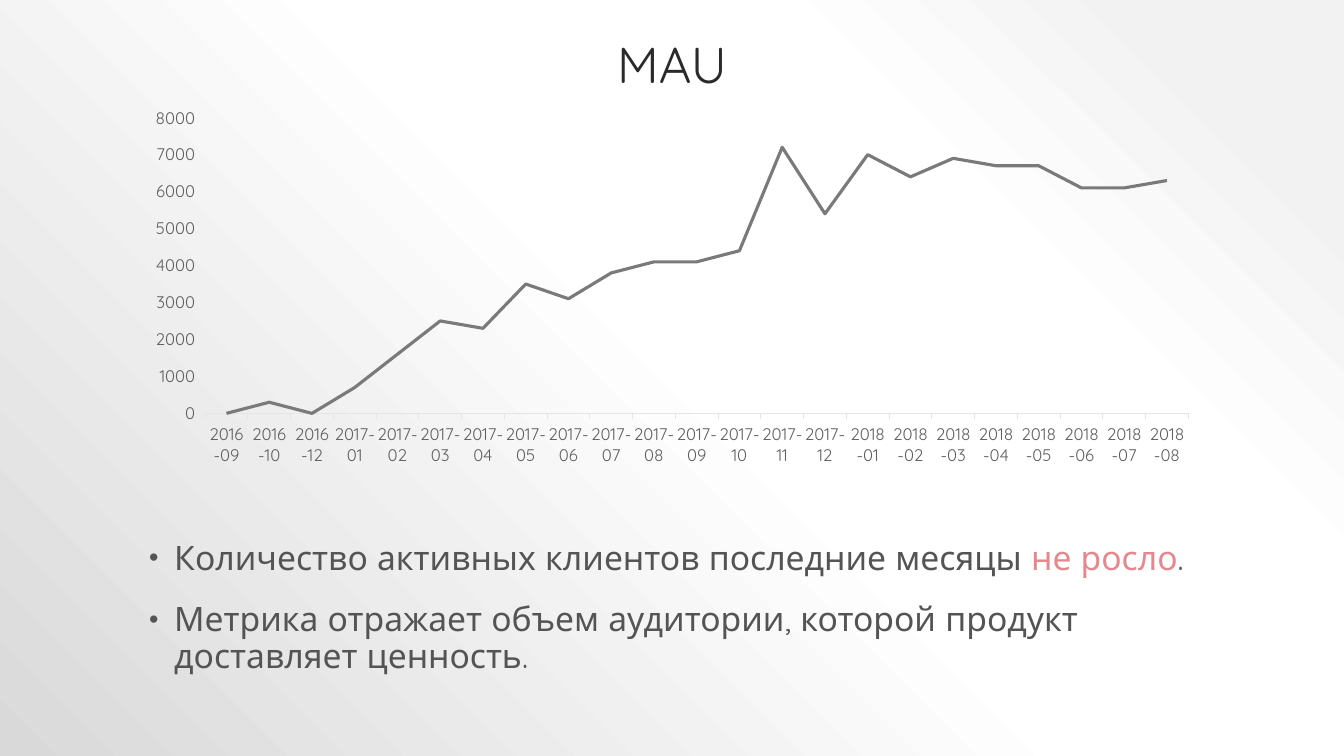
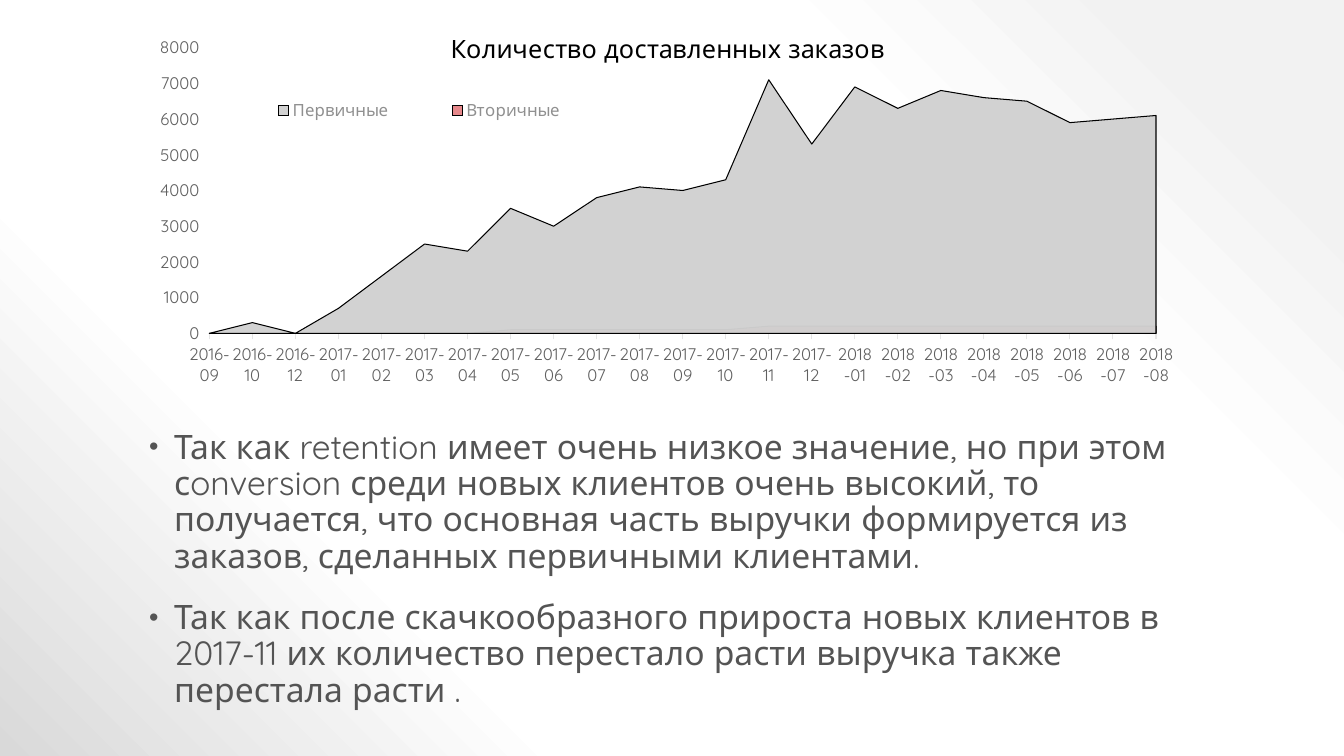
from pptx import Presentation
from pptx.chart.data import CategoryChartData
from pptx.dml.color import RGBColor
from pptx.enum import chart as ch, text
from pptx.oxml import parse_xml
from pptx.oxml.ns import nsdecls, qn
from pptx.util import Inches, Pt

FONT = "Quicksand"
DARK = RGBColor(0x2A, 0x2A, 0x2A)
BODY = RGBColor(0x54, 0x54, 0x54)
AXIS_TEXT = RGBColor(0x60, 0x60, 0x60)
AXIS_LINE = RGBColor(0xE5, 0xE5, 0xE5)
LEGEND = RGBColor(0x90, 0x90, 0x90)
LINE_GREY = RGBColor(0x7A, 0x7A, 0x7A)
AREA_GREY = RGBColor(0xD1, 0xD1, 0xD1)
ACCENT = RGBColor(0xE6, 0x88, 0x8B)
BLACK = RGBColor(0, 0, 0)

LEFT, WIDTH = 1.33, 10.67

MONTHS = (["2016-09", "2016-10", "2016-12"]
          + [f"2017-{m:02}" for m in range(1, 13)]
          + [f"2018-{m:02}" for m in range(1, 9)])
ACTIVE = [0, 300, 0, 700, 1600, 2500, 2300, 3500, 3100, 3800, 4100, 4100,
          4400, 7200, 5400, 7000, 6400, 6900, 6700, 6700, 6100, 6100, 6300]
FIRST_ORDERS = [0, 300, 0, 700, 1600, 2500, 2300, 3500, 3000, 3800, 4100, 4000,
                4300, 7100, 5300, 6900, 6300, 6800, 6600, 6500, 5900, 6000, 6100]
REPEAT_ORDERS = [0] * 7 + [100] * 6 + [200] * 10


def set_font(font, size, color):
    font.name, font.size, font.bold = FONT, Pt(size), False
    font.color.rgb = color


def place(parent, index, x, y, w=None, h=None, inner=False):
    """Give a chart part a manual layout, in fractions of the chart."""
    for old in parent.findall(qn("c:layout")):
        parent.remove(old)
    target = '<c:layoutTarget val="inner"/>' if inner else ""
    modes = '<c:xMode val="edge"/><c:yMode val="edge"/>'
    sizes = "".join(f'<c:{name} val="{value}"/>'
                    for name, value in zip("xywh", (x, y, w, h)) if value is not None)
    parent.insert(index, parse_xml(
        f'<c:layout {nsdecls("c")}><c:manualLayout>{target}{modes}{sizes}'
        '</c:manualLayout></c:layout>'))


def set_crossing(chart, crossing):
    """Set whether the value axis crosses between or at categories."""
    axis = chart._chartSpace.find(".//" + qn("c:valAx"))
    for old in axis.findall(qn("c:crossBetween")):
        axis.remove(old)
    before = axis.find(qn("c:crosses"))
    if before is None:
        before = axis.find(qn("c:crossAx"))
    before.addnext(parse_xml(f'<c:crossBetween {nsdecls("c")} val="{crossing}"/>'))


class Deck:
    def __init__(self):
        self.prs = Presentation()
        self.prs.slide_width, self.prs.slide_height = Inches(13.33), Inches(7.5)
        self.slide = None

    def new_slide(self, white_end):
        """Add a slide whose white glow ends at white_end percent."""
        self.slide = self.prs.slides.add_slide(self.prs.slide_layouts[6])
        stops = [(10, "F2F2F2"), (28, "FFFFFF"), (white_end, "FFFFFF"), (100, "D9D9D9")]
        stop_xml = "".join(f'<a:gs pos="{pos * 1000}"><a:srgbClr val="{color}"/></a:gs>'
                           for pos, color in stops)
        bg = parse_xml(
            f'<p:bg {nsdecls("p", "a")}><p:bgPr><a:gradFill rotWithShape="1">'
            f'<a:gsLst>{stop_xml}</a:gsLst><a:path path="circle">'
            '<a:fillToRect l="100000" b="100000"/></a:path></a:gradFill>'
            '<a:effectLst/></p:bgPr></p:bg>')
        self.slide.element.find(qn("p:cSld")).insert(0, bg)

    def text_box(self, top, height):
        tf = self.slide.shapes.add_textbox(
            Inches(LEFT), Inches(top), Inches(WIDTH), Inches(height)).text_frame
        tf.word_wrap = True
        return tf

    def title(self, words):
        tf = self.text_box(0.3, 0.69)
        tf.vertical_anchor = text.MSO_ANCHOR.BOTTOM
        p = tf.paragraphs[0]
        p.text = words
        p.alignment = text.PP_ALIGN.CENTER
        p.line_spacing = 0.9
        set_font(p.runs[0].font, 36, DARK)

    def bullets(self, top, height, items):
        """Each item is a list of (words, color) runs."""
        tf = self.text_box(top, height)
        for i, item in enumerate(items):
            p = tf.add_paragraph() if i else tf.paragraphs[0]
            p.line_spacing, p.space_before = 0.9, Pt(18)
            for words, color in item:
                r = p.add_run()
                r.text = words
                set_font(r.font, 24, color)
            props = p._p.get_or_add_pPr()
            props.set("marL", str(Inches(0.3)))
            props.set("indent", str(Inches(-0.25)))
            for xml in (f'<a:buClr {nsdecls("a")}><a:srgbClr val="{BODY}"/></a:buClr>',
                        f'<a:buSzPct {nsdecls("a")} val="80000"/>',
                        f'<a:buFont {nsdecls("a")} typeface="Arial"/>',
                        f'<a:buChar {nsdecls("a")} char="•"/>'):
                props.append(parse_xml(xml))

    def chart(self, kind, top, height, series, crossing):
        data = CategoryChartData()
        data.categories = MONTHS
        for name, values in series:
            data.add_series(name, values)
        chart = self.slide.shapes.add_chart(
            kind, Inches(LEFT), Inches(top), Inches(WIDTH), Inches(height), data).chart
        chart.has_title = chart.has_legend = False
        set_font(chart.font, 10, BODY)
        for axis in (chart.category_axis, chart.value_axis):
            axis.has_major_gridlines = False
            axis.major_tick_mark = ch.XL_TICK_MARK.OUTSIDE
            axis.minor_tick_mark = ch.XL_TICK_MARK.NONE
            set_font(axis.tick_labels.font, 12, AXIS_TEXT)
        line = chart.category_axis.format.line
        line.color.rgb, line.width = AXIS_LINE, Pt(0.75)
        chart.value_axis.format.line.fill.background()
        chart.value_axis.maximum_scale, chart.value_axis.major_unit = 8000, 1000
        set_crossing(chart, crossing)
        return chart

    def line_chart(self, top, height, series):
        chart = self.chart(ch.XL_CHART_TYPE.LINE, top, height, series, "between")
        for s in chart.plots[0].series:
            s.smooth = False
            s.marker.style = ch.XL_MARKER_STYLE.NONE
            s.format.line.color.rgb, s.format.line.width = LINE_GREY, Pt(2.25)

    def area_chart(self, top, height, title, series):
        chart = self.chart(ch.XL_CHART_TYPE.AREA, top, height, series, "midCat")
        for s, color in zip(chart.plots[0].series, (AREA_GREY, ACCENT)):
            s.format.fill.solid()
            s.format.fill.fore_color.rgb = color
            s.format.line.color.rgb, s.format.line.width = BLACK, Pt(0.75)
            if color == AREA_GREY:
                s._element.find(".//" + qn("a:srgbClr")).append(
                    parse_xml(f'<a:alpha {nsdecls("a")} val="97000"/>'))

        p = chart.chart_title.text_frame.paragraphs[0]
        p.text = title
        set_font(p.runs[0].font, 18, BLACK)
        chart.chart_title.include_in_layout = False

        chart.has_legend = True
        chart.legend.position = ch.XL_LEGEND_POSITION.BOTTOM
        chart.legend.include_in_layout = False
        set_font(chart.legend.font, 12, LEGEND)

        root = chart._chartSpace
        place(root.find(".//" + qn("c:title")), 1, 0.29, 0.05)
        place(root.find(".//" + qn("c:legend")), 1, 0.08, 0.2, 0.37, 0.08)
        place(root.find(".//" + qn("c:plotArea")), 0, 0.07, 0.1, 0.88, 0.64, inner=True)


def main():
    deck = Deck()

    deck.new_slide(white_end=48)
    deck.title("MAU")
    deck.line_chart(0.99, 3.7, [("MAU", ACTIVE)])
    deck.bullets(5.32, 1.81, [
        [("Количество активных клиентов последние месяцы ", BODY),
         ("не росло", ACCENT), (".", BODY)],
        [("Метрика отражает объем аудитории, которой продукт доставляет ценность.", BODY)],
    ])

    deck.new_slide(white_end=73)
    deck.bullets(4.22, 2.99, [
        [("Так как retention имеет очень низкое значение, но при этом сonversion "
          "среди новых клиентов очень высокий, то получается, что основная часть "
          "выручки формируется из заказов, сделанных первичными клиентами.", BODY)],
        [("Так как после скачкообразного прироста новых клиентов в 2017-11 их "
          "количество перестало расти выручка также перестала расти .", BODY)],
    ])
    deck.area_chart(0.03, 4.43, "Количество доставленных заказов",
                    [("Первичные", FIRST_ORDERS), ("Вторичные", REPEAT_ORDERS)])

    deck.prs.save("out.pptx")


if __name__ == "__main__":
    main()
